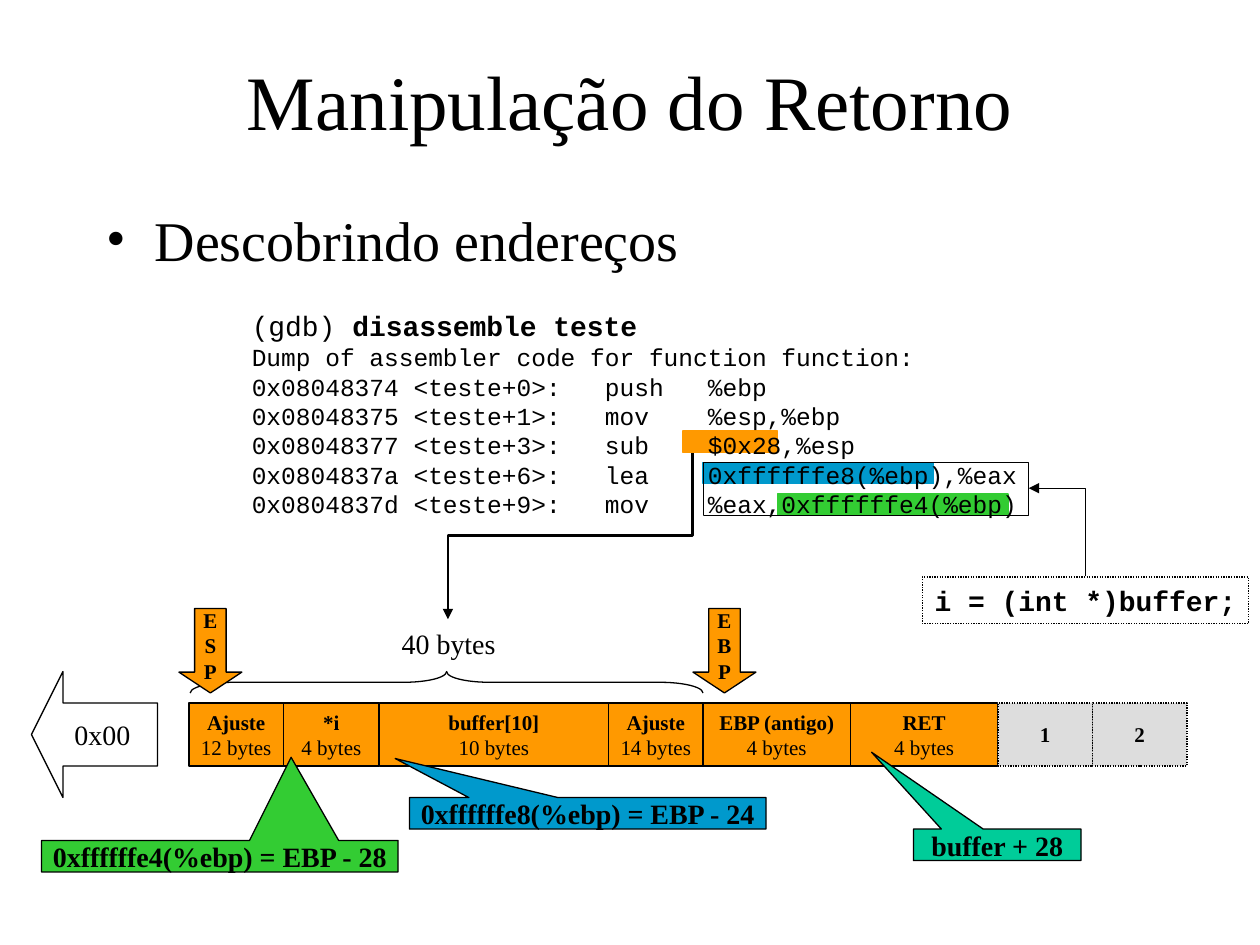
from dataclasses import dataclass

import lxml.etree
import pptx
import pptx.dml.color
import pptx.enum.dml
import pptx.enum.shapes
import pptx.enum.text
import pptx.oxml.ns
import pptx.util

Inches = pptx.util.Inches
Pt = pptx.util.Pt
Shape = pptx.enum.shapes.MSO_SHAPE
Align = pptx.enum.text.PP_ALIGN
Anchor = pptx.enum.text.MSO_ANCHOR
qn = pptx.oxml.ns.qn

SERIF = "Times New Roman"
MONO = "Courier New"
BLACK, WHITE, GRAY = "000000", "FFFFFF", "DDDDDD"
ORANGE, BLUE, GREEN, TEAL = "FF9900", "0099CC", "33CC33", "00CC99"
CELL_TOP, CELL_HEIGHT = 5.58, 0.5


@dataclass(frozen=True)
class Box:
    left: float
    top: float
    width: float
    height: float


@dataclass(frozen=True)
class Cell:
    name: str
    width: float
    size: str = ""


@dataclass(frozen=True)
class Callout:
    text: str
    box: Box
    fill: str
    tip: tuple[float, float]


@dataclass(frozen=True)
class Elbow:
    box: Box
    preset: str
    rotation: int
    flipped: bool
    weight: float


CELLS = [
    Cell("Ajuste", 0.75, "12 bytes"),
    Cell("*i", 0.76, "4 bytes"),
    Cell("buffer[10]", 1.82, "10 bytes"),
    Cell("Ajuste", 0.75, "14 bytes"),
    Cell("EBP (antigo)", 1.17, "4 bytes"),
    Cell("RET", 1.17, "4 bytes"),
    Cell("1", 0.75),
    Cell("2", 0.75),
]
CALLOUTS = [
    Callout("0xffffffe4(%ebp) = EBP - 28", Box(0.33, 6.67, 2.83, 0.25), GREEN, (0.2, -3.14)),
    Callout("0xffffffe8(%ebp) = EBP - 24", Box(3.25, 6.33, 2.83, 0.25), BLUE, (-0.54, -1.74)),
    Callout("buffer + 28", Box(7.25, 6.58, 1.33, 0.25), TEAL, (-0.75, -2.94)),
]
HIGHLIGHTS = [
    (Box(5.42, 3.42, 0.75, 0.17), ORANGE),
    (Box(6.17, 3.92, 1.83, 0.17), GREEN),
    (Box(5.58, 3.67, 1.83, 0.17), BLUE),
]
ELBOWS = [
    Elbow(Box(3.86, 3.28, 1.33, 1.94), "bentConnector3", 90, False, 1.5),
    Elbow(Box(8.04, 4, 0.7, 0.45), "bentConnector2", 270, True, 0.75),
]
LISTING = [
    "Dump of assembler code for function function:",
    "0x08048374 <teste+0>:   push   %ebp",
    "0x08048375 <teste+1>:   mov    %esp,%ebp",
    "0x08048377 <teste+3>:   sub    $0x28,%esp",
    "0x0804837a <teste+6>:   lea    0xffffffe8(%ebp),%eax",
    "0x0804837d <teste+9>:   mov    %eax,0xffffffe4(%ebp)",
]


def color(value: str) -> pptx.dml.color.RGBColor:
    return pptx.dml.color.RGBColor.from_string(value)


def lengths(box: Box) -> list:
    return [Inches(value) for value in (box.left, box.top, box.width, box.height)]


def write(frame, text: str, *, size=16, bold=False, font=SERIF, align=Align.CENTER, same_line=False):
    paragraph = frame.paragraphs[-1]
    if paragraph.runs and not same_line:
        paragraph = frame.add_paragraph()
    paragraph.alignment = align
    run = paragraph.add_run()
    run.text = text
    run.font.name = font
    run.font.size = Pt(size)
    run.font.bold = bold
    run.font.color.rgb = color(BLACK)


def draw_shape(slide, kind, box: Box, fill=None, line=BLACK, weight=0.75, dotted=False, adjustments=()):
    shape = slide.shapes.add_shape(kind, *lengths(box))
    shape.shadow.inherit = False
    if fill:
        shape.fill.solid()
        shape.fill.fore_color.rgb = color(fill)
    else:
        shape.fill.background()
    shape.line.color.rgb = color(line)
    shape.line.width = Pt(weight)
    if dotted:
        shape.line.dash_style = pptx.enum.dml.MSO_LINE.ROUND_DOT
    for index, value in enumerate(adjustments):
        shape.adjustments[index] = value
    shape.text_frame.word_wrap = False
    shape.text_frame.vertical_anchor = Anchor.MIDDLE
    return shape


def add_text_box(slide, box: Box):
    frame = slide.shapes.add_textbox(*lengths(box)).text_frame
    frame.word_wrap = True
    return frame


def draw_cells(slide) -> None:
    left = 1.5
    for cell in CELLS:
        box = Box(left, CELL_TOP, cell.width, CELL_HEIGHT)
        fill = ORANGE if cell.size else GRAY
        shape = draw_shape(slide, Shape.RECTANGLE, box, fill, dotted=not cell.size)
        write(shape.text_frame, cell.name, size=12, bold=True)
        if cell.size:
            write(shape.text_frame, cell.size, size=12)
        left += cell.width


def draw_elbow(slide, elbow: Elbow) -> None:
    box = elbow.box
    start, end = box.top, box.top + box.height
    if elbow.flipped:
        start, end = end, start
    connector = slide.shapes.add_connector(
        pptx.enum.shapes.MSO_CONNECTOR.ELBOW,
        Inches(box.left), Inches(start), Inches(box.left + box.width), Inches(end))
    connector.line.color.rgb = color(BLACK)
    connector.line.width = Pt(elbow.weight)
    properties = connector._element.spPr
    properties.find(qn("a:xfrm")).set("rot", str(elbow.rotation * 60000))
    properties.find(qn("a:prstGeom")).set("prst", elbow.preset)
    lxml.etree.SubElement(properties.find(qn("a:ln")), qn("a:tailEnd"), type="triangle")
    lxml.etree.SubElement(properties, qn("a:effectLst"))


def draw_register(slide, name: str, left: float) -> None:
    arrow = draw_shape(slide, Shape.DOWN_ARROW, Box(left, 4.83, 0.5, 0.67), ORANGE, adjustments=(0.5, 0.33))
    for letter in name:
        write(arrow.text_frame, letter, size=12, bold=True)


def add_heading(slide) -> None:
    title = slide.shapes.title
    title.left, title.top, title.width, title.height = lengths(Box(0.75, 0.17, 8.5, 1.25))
    title.text_frame.vertical_anchor = Anchor.MIDDLE
    write(title.text_frame, "Manipulação do Retorno", size=44)

    body = add_text_box(slide, Box(0.75, 1.58, 8.5, 5.08))
    properties = body.paragraphs[0]._p.get_or_add_pPr()
    properties.set("marL", str(Inches(0.38)))
    properties.set("indent", str(Inches(-0.38)))
    lxml.etree.SubElement(properties, qn("a:buFont"), typeface=SERIF)
    lxml.etree.SubElement(properties, qn("a:buChar"), char="•")
    write(body, "Descobrindo endereços", size=32, align=Align.LEFT)


def add_listing(slide) -> None:
    frame = add_text_box(slide, Box(1.9, 2.4, 6.5, 1.77))
    write(frame, "(gdb) ", font=MONO, align=Align.LEFT)
    write(frame, "disassemble teste", font=MONO, bold=True, align=Align.LEFT, same_line=True)
    for line in LISTING:
        write(frame, line, size=14, font=MONO, align=Align.LEFT)


def main() -> None:
    presentation = pptx.Presentation()
    presentation.slide_width, presentation.slide_height = Inches(10), Inches(7.5)
    slide = presentation.slides.add_slide(presentation.slide_layouts[5])
    add_heading(slide)
    draw_cells(slide)

    brace = draw_shape(slide, Shape.RIGHT_BRACE, Box(3.46, 3.38, 0.17, 4.07), adjustments=(2, 0.5))
    brace.rotation = 270
    write(add_text_box(slide, Box(3.09, 4.92, 1.1, 0.37)), "40 bytes", align=Align.LEFT)

    for elbow in ELBOWS:
        draw_elbow(slide, elbow)
    for box, fill in HIGHLIGHTS:
        draw_shape(slide, Shape.RECTANGLE, box, fill, line=fill)
    add_listing(slide)
    draw_shape(slide, Shape.RECTANGLE, Box(5.58, 3.67, 2.58, 0.42), weight=0.25, dotted=True)

    for name, left in (("ESP", 1.42), ("EBP", 5.5)):
        draw_register(slide, name, left)
    address = draw_shape(slide, Shape.LEFT_ARROW, Box(0.25, 5.33, 1, 1), WHITE, adjustments=(0.5, 0.25))
    write(address.text_frame, "0x00")
    for callout in CALLOUTS:
        shape = draw_shape(slide, Shape.RECTANGULAR_CALLOUT, callout.box, callout.fill, adjustments=callout.tip)
        write(shape.text_frame, callout.text, bold=True)
    statement = draw_shape(slide, Shape.RECTANGLE, Box(7.32, 4.58, 2.59, 0.37), dotted=True)
    write(statement.text_frame, "i = (int *)buffer;", font=MONO, bold=True, align=Align.LEFT)

    presentation.save("out.pptx")


if __name__ == "__main__":
    main()
